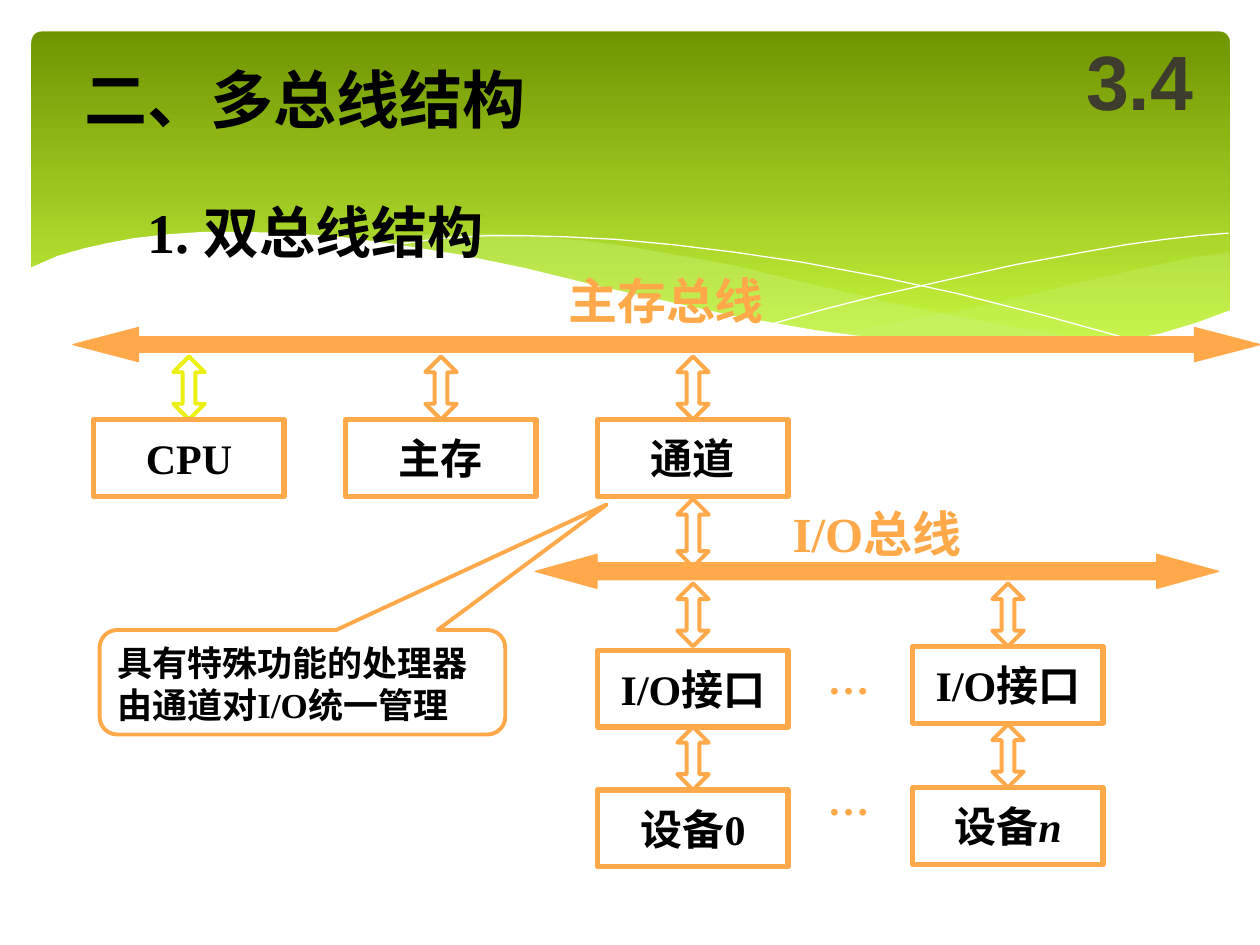
from dataclasses import dataclass

import pptx
import pptx.dml.color
import pptx.enum.shapes
import pptx.enum.text
import pptx.oxml.ns
import pptx.util
from pptx.util import Inches

SHAPE = pptx.enum.shapes.MSO_SHAPE
ALIGN = pptx.enum.text.PP_ALIGN
ANCHOR = pptx.enum.text.MSO_ANCHOR
COLORS = {"orange": "FFA94A", "yellow": "EBF010", "black": "000000", "gray": "3E3D2D",
          "white": "FFFFFF", "wave": "CAF278", "green": "6F9500", "lime": "D0FF44"}
SERIF, CJK, SANS = "Times New Roman", "Noto Sans CJK SC", "Arial"
BOX_W, BOX_H = 1.51, 0.61
ARROW_W, ARROW_H = 0.25, 0.5


@dataclass
class Box:
    center: float
    top: float
    text: str
    italic_tail: str = ""


@dataclass
class Arrow:
    center: float
    top: float
    height: float = ARROW_H
    color: str = "orange"


@dataclass
class Label:
    at: tuple
    text: str
    size: int
    color: str = "black"
    font: str = SERIF
    inset: bool = True


@dataclass
class Bus:
    at: tuple
    shaft: float
    head: float


@dataclass
class Wave:
    """An outline; alpha in percent, or None for an unfilled white line."""
    points: list
    color: str = "white"
    alpha: int | None = None


WAVES = [
    Wave([(9.76, 2), (9.48, 2.04), (9.06, 2.13), (8.61, 2.23), (8.05, 2.37), (7.53, 2.48),
          (7.06, 2.57), (6.61, 2.65), (6.91, 2.69), (7.32, 2.74), (7.69, 2.77), (8.03, 2.78),
          (8.44, 2.77), (8.81, 2.73), (9.13, 2.67), (9.42, 2.59), (9.76, 2.47)], "wave", 29),
    Wave([(8.93, 2.73), (8.37, 2.65), (7.75, 2.54), (7.06, 2.4), (6.29, 2.22), (5.84, 2.11),
          (5.41, 2.03), (5.01, 1.96), (4.64, 1.91), (4.2, 1.87), (3.8, 1.85), (3.44, 1.86),
          (2.86, 1.91), (3.42, 1.99), (4.04, 2.11), (4.49, 2.22), (5.3, 2.4), (6.01, 2.55),
          (6.65, 2.66), (7.22, 2.74), (7.73, 2.78), (8.18, 2.79), (8.57, 2.77)], "wave", 40),
    Wave([(3.09, 1.95), (3.28, 1.92), (3.53, 1.89), (3.87, 1.87), (4.16, 1.87), (4.5, 1.88),
          (4.89, 1.9), (5.32, 1.94), (5.82, 2), (6.36, 2.08), (6.95, 2.19), (7.6, 2.33),
          (8.31, 2.51), (9.07, 2.72)]),
    Wave([(6.13, 2.57), (6.52, 2.46), (6.95, 2.35), (7.48, 2.23), (8.06, 2.1), (8.66, 1.99),
          (8.95, 1.94), (9.24, 1.9), (9.51, 1.87), (9.75, 1.85)]),
    Wave([(9.77, 2.46), (9.5, 2.56), (9.2, 2.65), (8.87, 2.71), (8.5, 2.75), (8.09, 2.77),
          (7.61, 2.75), (7.08, 2.7), (6.47, 2.62), (5.79, 2.5), (5.29, 2.39), (4.75, 2.27),
          (4.18, 2.13), (3.65, 2.02), (3.15, 1.94), (2.71, 1.88), (2.3, 1.85), (1.93, 1.84),
          (1.61, 1.84), (1.32, 1.86), (1.06, 1.89), (0.85, 1.93), (0.67, 1.97), (0.46, 2.03),
          (0.23, 2.13), (0.23, 3.29), (9.77, 3.29)], "white", 100),
]
ARROWS = [Arrow(1.5, 2.83, color="yellow"), Arrow(3.5, 2.83), Arrow(5.5, 2.83),
          Arrow(5.5, 3.96, 0.54), Arrow(5.5, 4.63), Arrow(5.5, 5.77),
          Arrow(8, 4.63), Arrow(8, 5.75)]
BOXES = [Box(1.5, 3.33, "CPU"), Box(3.5, 3.33, "主存"), Box(5.5, 3.33, "通道"),
         Box(5.5, 5.16, "I/O接口"), Box(5.5, 6.27, "设备0"),
         Box(8, 5.13, "I/O接口"), Box(8, 6.25, "设备", "n")]
BUSES = [Bus((0.58, 2.6, 9.42, 0.27), 0.46, 1.92), Bus((4.25, 4.4, 5.42, 0.27), 0.5, 1.81)]
LABELS = [Label((1.07, 1.52, 3.2, 0.64), "1. 双总线结构", 32),
          Label((4.51, 2.15, 2.66, 0.47), "主存总线", 28, "orange", CJK, False),
          Label((6.29, 4, 2.21, 0.47), "I/O总线", 28, "orange", SERIF, False),
          Label((6.47, 5.13, 0.53, 0.5), "…", 24, "orange"),
          Label((6.47, 6.09, 0.53, 0.5), "…", 24, "orange")]


def rgb(name: str):
    return pptx.dml.color.RGBColor.from_string(COLORS[name])


def inches(at: tuple) -> list:
    return [Inches(v) for v in at]


def format_text(tf, size: int, color="black", font=SERIF, align=ALIGN.LEFT, anchor=ANCHOR.TOP):
    tf.word_wrap = False
    tf.vertical_anchor = anchor
    for p in tf.paragraphs:
        p.alignment = align
        p.font.size = pptx.util.Pt(size)
        p.font.bold = True
        p.font.name = font
        p.font.color.rgb = rgb(color)


def add_shape(slide, kind, at: tuple, line: str | None, width: float = 0, fill: str | None = None):
    s = slide.shapes.add_shape(kind, *inches(at))
    s.shadow.inherit = False
    if fill:
        s.fill.solid()
        s.fill.fore_color.rgb = rgb(fill)
    else:
        s.fill.background()
    if line:
        s.line.color.rgb = rgb(line)
        s.line.width = pptx.util.Pt(width)
    else:
        s.line.fill.background()
    return s


def draw_banner(slide):
    s = add_shape(slide, SHAPE.ROUNDED_RECTANGLE, (0.25, 0.25, 9.51, 2.7), None)
    s.adjustments[0] = 0.03
    s.fill.gradient()
    s.fill.gradient_angle = 270
    for stop, color, position in zip(s.fill.gradient_stops, ("green", "lime"), (0, 1)):
        stop.color.rgb = rgb(color)
        stop.position = position


def draw_wave(slide, wave: Wave):
    filled = wave.alpha is not None
    start, *rest = [tuple(inches(point)) for point in wave.points]
    builder = slide.shapes.build_freeform(*start)
    builder.add_line_segments(rest, close=filled)
    s = builder.convert_to_shape()
    s.shadow.inherit = False
    if not filled:
        s.fill.background()
        s.line.color.rgb = rgb(wave.color)
        s.line.width = pptx.util.Pt(0)
        return
    s.line.fill.background()
    s.fill.solid()
    s.fill.fore_color.rgb = rgb(wave.color)
    if wave.alpha < 100:
        clr = s.fill._xPr.find(".//" + pptx.oxml.ns.qn("a:srgbClr"))
        alpha = clr.makeelement(pptx.oxml.ns.qn("a:alpha"), {"val": str(wave.alpha * 1000)})
        clr.append(alpha)


def draw_arrow(slide, arrow: Arrow):
    at = (arrow.center - ARROW_W / 2, arrow.top, ARROW_W, arrow.height)
    s = add_shape(slide, SHAPE.UP_DOWN_ARROW, at, arrow.color, 2.25)
    s.adjustments[0], s.adjustments[1] = 0.5, 0.4


def draw_box(slide, box: Box):
    at = (box.center - BOX_W / 2, box.top, BOX_W, BOX_H)
    s = add_shape(slide, SHAPE.RECTANGLE, at, "orange", 3)
    p = s.text_frame.paragraphs[0]
    p.add_run().text = box.text
    if box.italic_tail:
        r = p.add_run()
        r.text = box.italic_tail
        r.font.italic = True
    format_text(s.text_frame, 24, align=ALIGN.CENTER, anchor=ANCHOR.MIDDLE)


def draw_bus(slide, bus: Bus):
    s = add_shape(slide, SHAPE.LEFT_RIGHT_ARROW, bus.at, "orange", 0.75, "orange")
    s.adjustments[0], s.adjustments[1] = bus.shaft, bus.head


def draw_label(slide, label: Label):
    tf = slide.shapes.add_textbox(*inches(label.at)).text_frame
    if not label.inset:
        tf.margin_left = tf.margin_top = tf.margin_right = tf.margin_bottom = 0
    tf.text = label.text
    format_text(tf, label.size, label.color, label.font)


def draw_callout(slide):
    s = add_shape(slide, SHAPE.ROUNDED_RECTANGULAR_CALLOUT, (0.79, 5, 3.22, 0.83), "orange", 2.25)
    for i, value in enumerate((0.75, -1.7, 0.17)):
        s.adjustments[i] = value
    s.text_frame.text = "具有特殊功能的处理器\n由通道对I/O统一管理"
    format_text(s.text_frame, 20)


def main():
    prs = pptx.Presentation()
    prs.slide_width, prs.slide_height = Inches(10), Inches(7.5)
    slide = prs.slides.add_slide(prs.slide_layouts[5])
    draw_banner(slide)
    for draw, items in ((draw_wave, WAVES), (draw_arrow, ARROWS), (draw_box, BOXES),
                        (draw_bus, BUSES), (draw_label, LABELS)):
        for item in items:
            draw(slide, item)
    draw_callout(slide)

    title = slide.shapes.title
    title.left, title.top, title.width, title.height = inches((0.57, 0.43, 4, 0.7))
    title.text_frame.text = "二、多总线结构"
    format_text(title.text_frame, 36)
    slide.shapes._spTree.append(title._element)  # bring the title in front of the banner

    number = slide.shapes.add_textbox(*inches((8.42, 0.17, 1.25, 0.92))).text_frame
    number.text = "3.4"
    format_text(number, 44, "gray", SANS, ALIGN.CENTER, ANCHOR.MIDDLE)
    prs.save("out.pptx")


if __name__ == "__main__":
    main()
